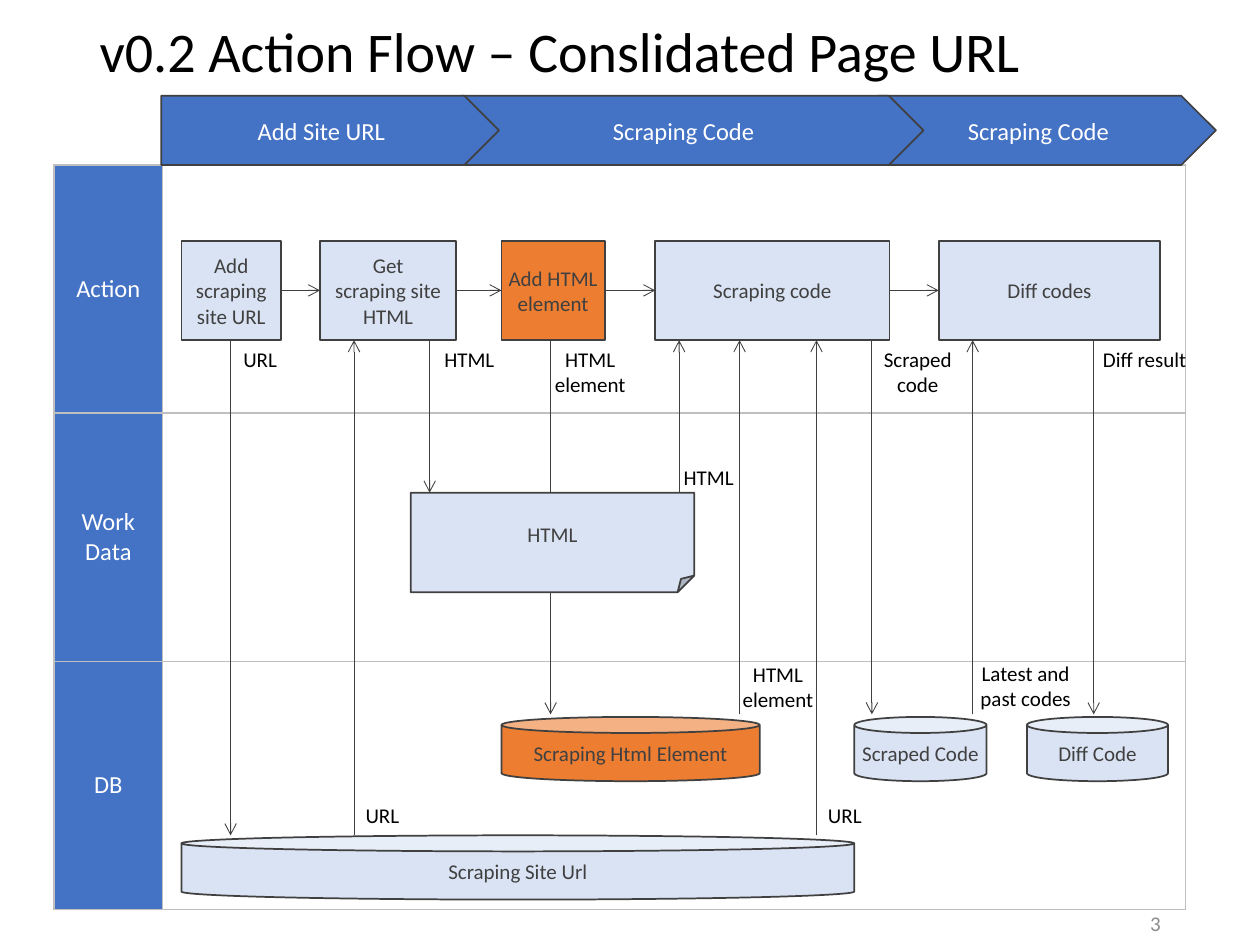
from dataclasses import dataclass

from lxml.etree import SubElement
from pptx import Presentation
from pptx.dml.color import RGBColor
from pptx.enum.shapes import MSO_CONNECTOR, MSO_SHAPE
from pptx.enum.text import MSO_ANCHOR, PP_ALIGN
from pptx.oxml.ns import qn
from pptx.util import Inches, Pt


@dataclass(frozen=True)
class Theme:
    font: str = "Calibri"
    blue: str = "4472C4"
    pale: str = "DAE3F3"
    orange: str = "ED7D31"
    ink: str = "404040"
    black: str = "000000"
    white: str = "FFFFFF"
    grey: str = "8C8C8C"
    border: str = "BFBFBF"
    title: int = 32
    head: int = 14
    body: int = 12


THEME = Theme()

# Swimlane grid: one heading column, one wide column, three equal lanes
SLIDE_W, SLIDE_H = 10, 7.5
GRID_LEFT, GRID_TOP = 0.43, 1.31
HEAD_W, LANE_W, LANE_H = 0.86, 8.12, 1.97
PLATE_H, BOX_H, CAN_H, LABEL_W, LABEL_H = 0.55, 0.79, 0.51, 0.47, 0.24


def lane_y(lane, offset):
    return GRID_TOP + lane * LANE_H + offset


BOX_Y = lane_y(0, 0.6)
BOX_END = BOX_Y + BOX_H
DOC_Y = lane_y(1, 0.63)
CODE_Y = lane_y(2, 0.44)
SITE_Y = lane_y(2, 1.38)
CODE_TIP = CODE_Y - 0.02


def rgb(value):
    return RGBColor.from_string(value)


def write(tf, text, size, color, align=PP_ALIGN.CENTER):
    tf.text = text
    tf.vertical_anchor = MSO_ANCHOR.MIDDLE
    for p in tf.paragraphs:
        p.alignment = align
        for r in p.runs:
            r.font.name, r.font.size = THEME.font, Pt(size)
            r.font.color.rgb = rgb(color)


def add_title(s, text):
    sp = s.shapes.title
    sp.left, sp.top, sp.width, sp.height = map(Inches, (0.69, 0.13, 8.62, 0.6))
    write(sp.text_frame, text, THEME.title, THEME.black, PP_ALIGN.LEFT)
    sp.text_frame.paragraphs[0].line_spacing = 0.9


def add_node(s, kind, x, y, w, h, text, fill=THEME.pale,
             size=THEME.body, color=THEME.ink):
    sp = s.shapes.add_shape(kind, *map(Inches, (x, y, w, h)))
    sp.shadow.inherit = False
    sp.fill.solid()
    sp.fill.fore_color.rgb = rgb(fill)
    sp.line.color.rgb = rgb(THEME.ink)
    sp.line.width = Pt(1)
    tf = sp.text_frame
    tf.word_wrap = False
    tf.margin_left = tf.margin_right = tf.margin_top = tf.margin_bottom = Inches(0.04)
    write(tf, text, size, color)


def add_label(s, x, y, text, w=LABEL_W, h=LABEL_H):
    # A plain rectangle keeps unwrapped text centred on its box
    sp = s.shapes.add_shape(MSO_SHAPE.RECTANGLE, *map(Inches, (x, y, w, h)))
    sp.shadow.inherit = False
    sp.fill.background()
    sp.line.fill.background()
    sp.text_frame.word_wrap = False
    write(sp.text_frame, text, THEME.body, THEME.black)


def add_arrow(s, x1, y1, x2, y2):
    line = s.shapes.add_connector(MSO_CONNECTOR.STRAIGHT,
                                  *map(Inches, (x1, y1, x2, y2)))
    line.line.color.rgb = rgb(THEME.ink)
    line.line.width = Pt(0.5)
    SubElement(line.line._get_or_add_ln(), qn("a:tailEnd"), type="arrow")
    SubElement(line._element.spPr, qn("a:effectLst"))


def set_borders(cell):
    tc_pr = cell._tc.get_or_add_tcPr()
    for i, side in enumerate(("lnL", "lnR", "lnT", "lnB")):
        ln = SubElement(tc_pr, qn(f"a:{side}"), w=str(Pt(1)))
        tc_pr.insert(i, ln)
        fill = SubElement(ln, qn("a:solidFill"))
        SubElement(fill, qn("a:srgbClr"), val=THEME.border)


def add_lanes(s, names):
    frame = s.shapes.add_table(len(names), 2, *map(Inches, (
        GRID_LEFT, GRID_TOP, HEAD_W + LANE_W, LANE_H * len(names))))
    table = frame.table
    table.first_row = table.horz_banding = False
    table.columns[0].width, table.columns[1].width = Inches(HEAD_W), Inches(LANE_W)
    for row, name in zip(table.rows, names):
        row.height = Inches(LANE_H)
        head, body = row.cells
        head.fill.solid()
        head.fill.fore_color.rgb = rgb(THEME.blue)
        write(head.text_frame, name, THEME.head, THEME.white)
        head.vertical_anchor = MSO_ANCHOR.MIDDLE
        body.fill.background()
        set_borders(head)
        set_borders(body)


def add_page_number(s, text):
    sp = s.shapes.add_textbox(*map(Inches, (7.06, 7.21, 2.25, 0.24)))
    sp.text_frame.word_wrap = True
    write(sp.text_frame, text, THEME.body, THEME.grey, PP_ALIGN.RIGHT)


def main():
    prs = Presentation()
    prs.slide_width, prs.slide_height = Inches(SLIDE_W), Inches(SLIDE_H)
    s = prs.slides.add_slide(prs.slide_layouts[5])
    add_title(s, "v0.2 Action Flow \u2013 Conslidated Page URL")
    add_lanes(s, ("Action", "Work\nData", "DB"))
    add_page_number(s, "3")

    # Phases, right to left so that each point overlaps the next plate
    for x, w, text in ((6.97, 2.68, "Scraping Code"),
                       (3.66, 3.67, "Scraping Code"),
                       (1.28, 2.68, "Add Site URL")):
        add_node(s, MSO_SHAPE.PENTAGON, x, GRID_TOP - PLATE_H, w, PLATE_H, text,
                 THEME.blue, THEME.head, THEME.white)

    # Vertical data flows
    for x, start, end in ((1.83, BOX_END, SITE_Y), (2.81, SITE_Y, BOX_END),
                          (3.41, BOX_END, DOC_Y), (4.37, BOX_END, CODE_TIP),
                          (5.39, DOC_Y, BOX_END), (5.87, CODE_TIP, BOX_END),
                          (6.48, SITE_Y, BOX_END), (6.92, BOX_END, CODE_TIP),
                          (7.72, CODE_TIP, BOX_END), (8.68, BOX_END, CODE_TIP)):
        add_arrow(s, x, start, x, end)

    # Action steps, each joined to the one before
    steps = ((1.44, 0.79, "Add\nscraping\nsite URL", THEME.pale),
             (2.54, 1.08, "Get\nscraping site\nHTML", THEME.pale),
             (3.98, 0.82, "Add HTML\nelement", THEME.orange),
             (5.2, 1.86, "Scraping code", THEME.pale),
             (7.45, 1.76, "Diff codes", THEME.pale))
    for x, w, text, fill in steps:
        add_node(s, MSO_SHAPE.RECTANGLE, x, BOX_Y, w, BOX_H, text, fill)
    for (x, w, *_), (next_x, *_) in zip(steps, steps[1:]):
        add_arrow(s, x + w, BOX_Y + BOX_H / 2, next_x, BOX_Y + BOX_H / 2)

    # Work data and databases
    add_node(s, MSO_SHAPE.FOLDED_CORNER, 3.26, DOC_Y, 2.25, BOX_H, "HTML")
    for x, y, w, text, fill in (
            (1.44, SITE_Y, 5.34, "Scraping Site Url", THEME.pale),
            (3.98, CODE_Y, 2.05, "Scraping Html Element", THEME.orange),
            (6.78, CODE_Y, 1.05, "Scraped Code", THEME.pale),
            (8.15, CODE_Y, 1.12, "Diff Code", THEME.pale)):
        add_node(s, MSO_SHAPE.CAN, x, y, w, CAN_H, text, fill)

    # Flow labels
    one_line, two_lines, above_site = BOX_END + 0.03, BOX_END + 0.13, SITE_Y - 0.28
    for x, y, text in ((1.83, one_line, "URL"), (3.49, one_line, "HTML"),
                       (8.85, one_line, "Diff result"),
                       (4.45, two_lines, "HTML\nelement"),
                       (7.05, two_lines, "Scraped\ncode"),
                       (5.39, DOC_Y - LABEL_H, "HTML"),
                       (5.94, CODE_Y - 0.36, "HTML\nelement"),
                       (2.8, above_site, "URL"), (6.47, above_site, "URL")):
        add_label(s, x, y, text)
    add_label(s, 7.65, CODE_Y - 0.49, "Latest and\npast codes", 0.98, 0.48)

    prs.save("out.pptx")


main()
